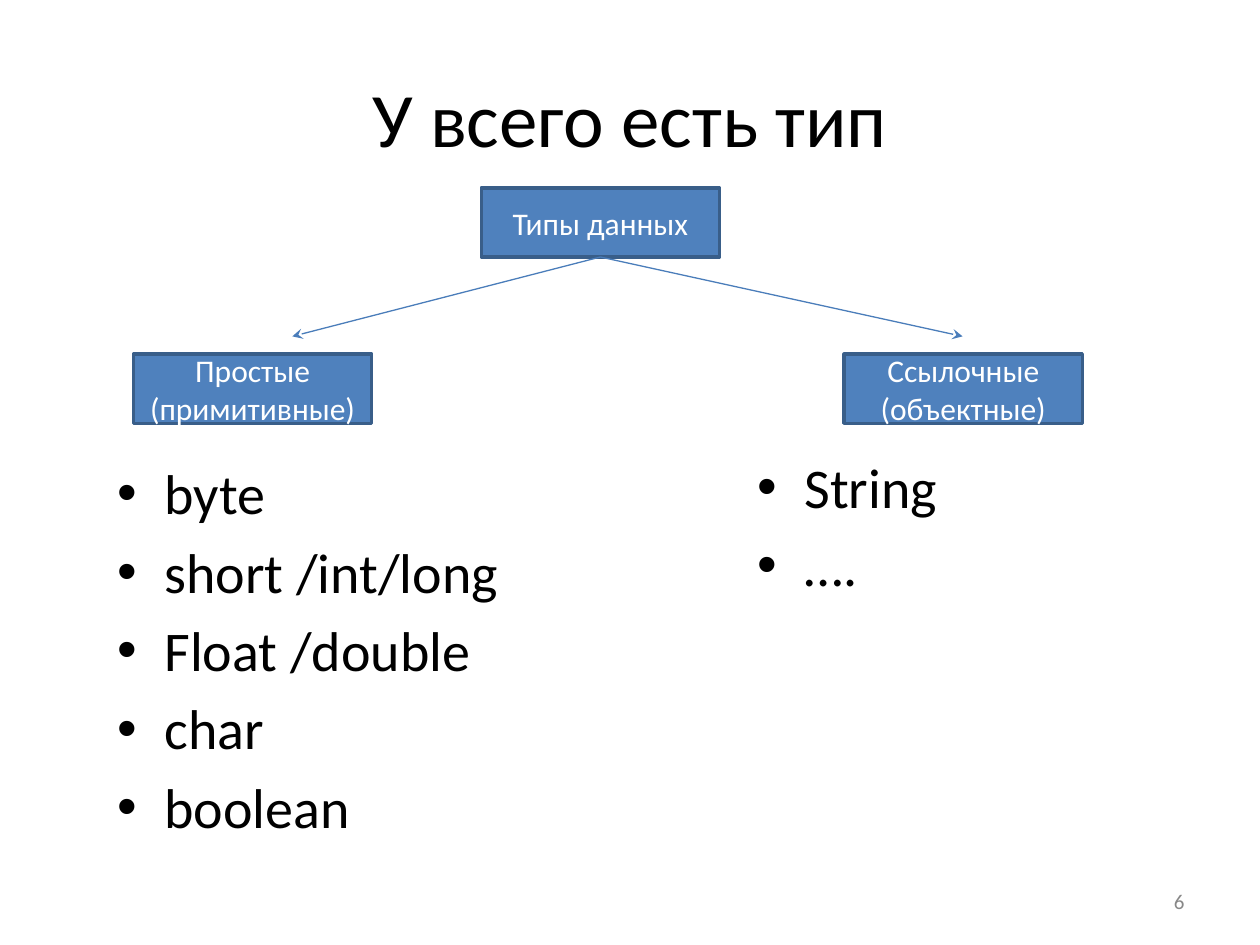
"""Build a slide that splits data types into primitive and reference ones."""
from dataclasses import dataclass

from pptx import Presentation
from pptx.dml.color import RGBColor
from pptx.enum.shapes import MSO_CONNECTOR as Connector, MSO_SHAPE as Preset
from pptx.enum.text import MSO_ANCHOR as Anchor, MSO_AUTO_SIZE as AutoSize, PP_ALIGN as Align
from pptx.oxml.ns import qn
from pptx.shapes.autoshape import Shape
from pptx.slide import Slide
from pptx.util import Emu, Pt
from lxml.etree import SubElement

PX_PER_INCH = 100
EMU_PER_PX = 914400 // PX_PER_INCH
FONT = "Calibri"
BOX_WIDTH, BOX_HEIGHT = 189, 55
COLORS = {
    "text": "000000",
    "number": "888888",
    "box": "4F81BD",
    "border": "395E89",
    "arrow": "4A7DBA",
    "label": "FFFFFF",
}


@dataclass(frozen=True)
class Area:
    left: int
    top: int
    width: int
    height: int


@dataclass(frozen=True)
class Category:
    label: str
    box_left: int
    arrow_tip: int
    list_area: Area
    items: tuple[str, ...]


CATEGORIES = (
    Category("Простые\n(примитивные)", 106, 232, Area(83, 359, 433, 334),
             ("byte", "short /int/long", "Float /double", "char", "boolean")),
    Category("Ссылочные (объектные)", 670, 764, Area(591, 354, 346, 334),
             ("String", "….")),
)
BOX_TOP, ARROW_TIP_TOP = 281, 267


def px(length: int) -> Emu:
    return Emu(length * EMU_PER_PX)


def color(name: str) -> RGBColor:
    return RGBColor.from_string(COLORS[name])


def place(shape: Shape, area: Area) -> None:
    shape.left, shape.top = px(area.left), px(area.top)
    shape.width, shape.height = px(area.width), px(area.height)


def write(shape: Shape, text: str, size: int, color_name: str, align: Align) -> None:
    frame = shape.text_frame
    frame.text = text
    frame.word_wrap = True
    frame.auto_size = AutoSize.NONE
    for paragraph in frame.paragraphs:
        paragraph.alignment = align
        for run in paragraph.runs:
            run.font.name = FONT
            run.font.size = Pt(size)
            run.font.color.rgb = color(color_name)


def add_box(slide: Slide, left: int, top: int, label: str) -> Shape:
    box = slide.shapes.add_shape(
        Preset.RECTANGLE, px(left), px(top), px(BOX_WIDTH), px(BOX_HEIGHT))
    box.shadow.inherit = False
    box.fill.solid()
    box.fill.fore_color.rgb = color("box")
    box.line.color.rgb = color("border")
    box.line.width = Pt(2)
    write(box, label, 18, "label", Align.CENTER)
    box.text_frame.vertical_anchor = Anchor.MIDDLE
    return box


def add_arrow(slide: Slide, source: Shape, tip_left: int, tip_top: int) -> None:
    arrow = slide.shapes.add_connector(
        Connector.STRAIGHT, source.left, source.top, px(tip_left), px(tip_top))
    arrow.begin_connect(source, 2)
    arrow.line.color.rgb = color("arrow")
    arrow.line.width = Pt(0.75)
    SubElement(arrow.line._get_or_add_ln(), qn("a:tailEnd"), type="stealth")
    SubElement(arrow._element.spPr, qn("a:effectLst"))


def fill_list(body: Shape, category: Category) -> None:
    place(body, category.list_area)
    write(body, "\n".join(category.items), 32, "text", Align.LEFT)
    for index, paragraph in enumerate(body.text_frame.paragraphs):
        paragraph.space_before = Pt(6.4 if index else 0)


def main() -> None:
    presentation = Presentation()
    presentation.slide_width, presentation.slide_height = px(1000), px(750)
    slide = presentation.slides.add_slide(presentation.slide_layouts.get_by_name("Two Content"))

    title, *bodies = slide.placeholders
    place(title, Area(50, 30, 900, 125))
    write(title, "У всего есть тип", 44, "text", Align.CENTER)

    root = add_box(slide, 382, 149, "Типы данных")
    for category, body in zip(CATEGORIES, bodies):
        add_arrow(slide, root, category.arrow_tip, ARROW_TIP_TOP)
        add_box(slide, category.box_left, BOX_TOP, category.label)
        fill_list(body, category)

    number = slide.shapes.add_textbox(px(717), px(695), px(233), px(40))
    write(number, "6", 12, "number", Align.RIGHT)
    number.text_frame.vertical_anchor = Anchor.MIDDLE

    presentation.save("out.pptx")


if __name__ == "__main__":
    main()
